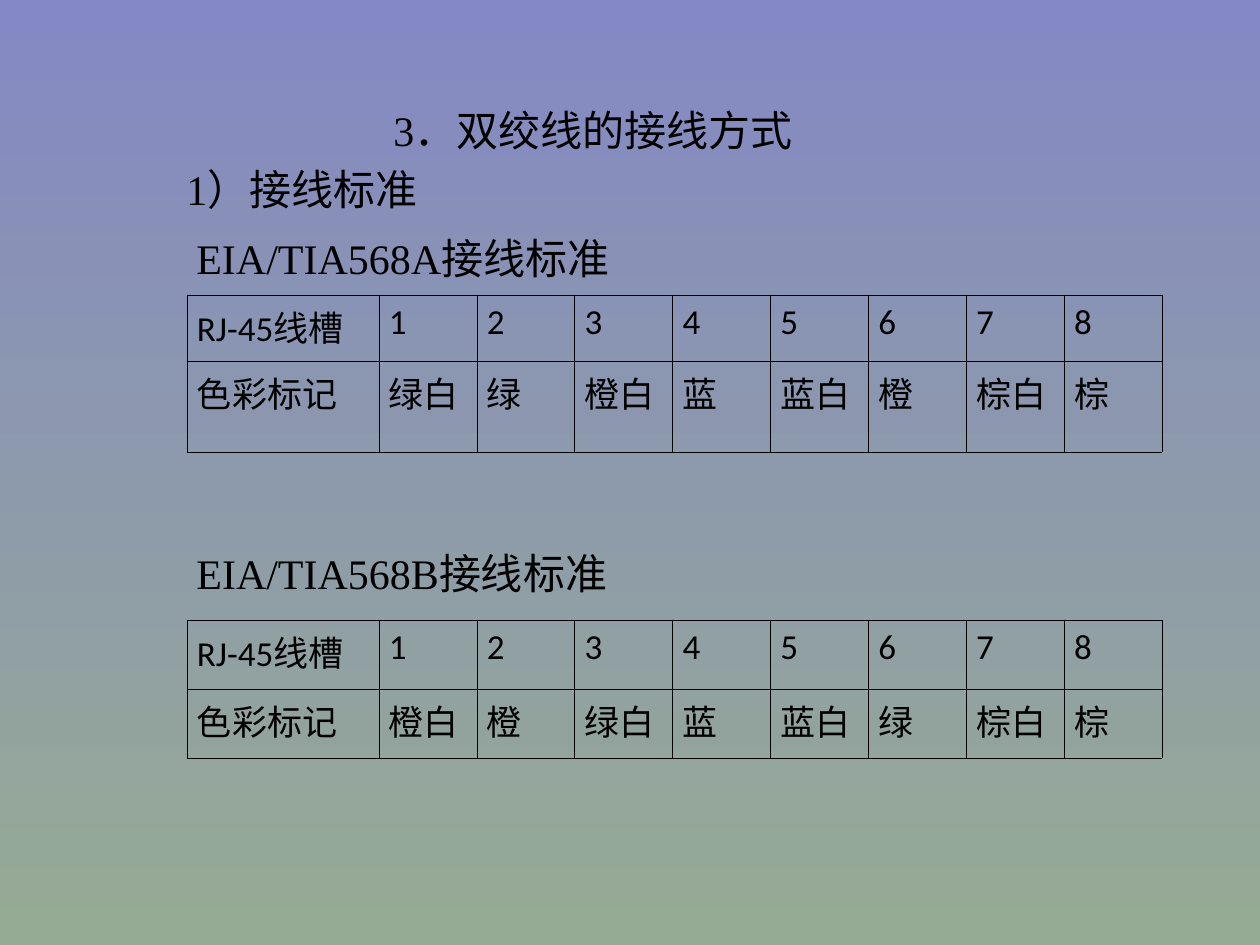
from lxml.etree import SubElement
from pptx import Presentation
from pptx.dml.color import RGBColor as RGB
from pptx.enum.text import MSO_AUTO_SIZE as AutoSize
from pptx.oxml.ns import qn
from pptx.util import Emu, Pt

COLORS = {"top": "8488C4", "bottom": "96AB94", "ink": "000000"}
HEADING = {"name": "Times New Roman", "size": Pt(24)}
LATIN = {"name": "Calibri", "size": Pt(20)}
HAN = {"name": "Arial", "size": Pt(20)}
MARGINS = {"margin_left": 10, "margin_right": 10, "margin_top": 6, "margin_bottom": 6}
LABEL_W = 192


def px(n):
    return Emu(round(n * 914400 / 126))


def add_run(p, text, style):
    r = p.add_run()
    r.text = text
    for key, value in style.items():
        setattr(r.font, key, value)
    r.font.color.rgb = RGB.from_string(COLORS["ink"])


def paint_background(s):
    fill = s.background.fill
    fill.gradient()
    fill.gradient_angle = 270
    for stop, key in zip(fill.gradient_stops, ("top", "bottom")):
        stop.color.rgb = RGB.from_string(COLORS[key])


def add_heading(s, box, text):
    tf = s.shapes.add_textbox(*map(px, box)).text_frame
    tf.word_wrap = False
    tf.auto_size = AutoSize.SHAPE_TO_FIT_TEXT
    add_run(tf.paragraphs[0], text, HEADING)


def add_borders(cell):
    tcPr = cell._tc.get_or_add_tcPr()
    for i, side in enumerate(("lnL", "lnR", "lnT", "lnB")):
        ln = SubElement(tcPr, qn(f"a:{side}"), w=str(Pt(0.45)))
        fill = SubElement(ln, qn("a:solidFill"))
        SubElement(fill, qn("a:srgbClr"), val=COLORS["ink"])
        tcPr.remove(ln)
        tcPr.insert(i, ln)


def fill_cell(cell, runs):
    for key, value in MARGINS.items():
        setattr(cell, key, px(value))
    cell.fill.background()
    add_borders(cell)
    for text, style in runs:
        add_run(cell.text_frame.paragraphs[0], text, style)


def add_wiring_table(s, box, heights, wires):
    rows = [
        [[("RJ-45", LATIN), ("线槽", HAN)]]
        + [[(str(n), LATIN)] for n in range(1, len(wires) + 1)],
        [[(text, HAN)] for text in ["色彩标记"] + wires],
    ]
    table = s.shapes.add_table(len(rows), len(rows[0]), *map(px, box)).table
    table.first_row = table.horz_banding = False
    wire_w = (box[2] - LABEL_W) / len(wires)
    for col, w in zip(table.columns, [LABEL_W] + [wire_w] * len(wires)):
        col.width = px(w)
    for row, h, contents in zip(table.rows, heights, rows):
        row.height = px(h)
        for cell, runs in zip(row.cells, contents):
            fill_cell(cell, runs)


def main():
    prs = Presentation()
    prs.slide_width, prs.slide_height = px(1260), px(945)
    s = prs.slides.add_slide(prs.slide_layouts[6])
    paint_background(s)
    add_heading(s, (381, 98, 438, 63), "3．双绞线的接线方式")
    add_heading(s, (174, 157, 268, 63), "1）接线标准")
    add_heading(s, (184, 226, 451, 63), "EIA/TIA568A接线标准")
    add_wiring_table(s, (187, 295, 975, 157), (66, 91),
                     ["绿白", "绿", "橙白", "蓝", "蓝白", "橙", "棕白", "棕"])
    add_heading(s, (184, 541, 449, 63), "EIA/TIA568B接线标准")
    add_wiring_table(s, (187, 620, 975, 138), (69, 69),
                     ["橙白", "橙", "绿白", "蓝", "蓝白", "绿", "棕白", "棕"])
    prs.save("out.pptx")


if __name__ == "__main__":
    main()
